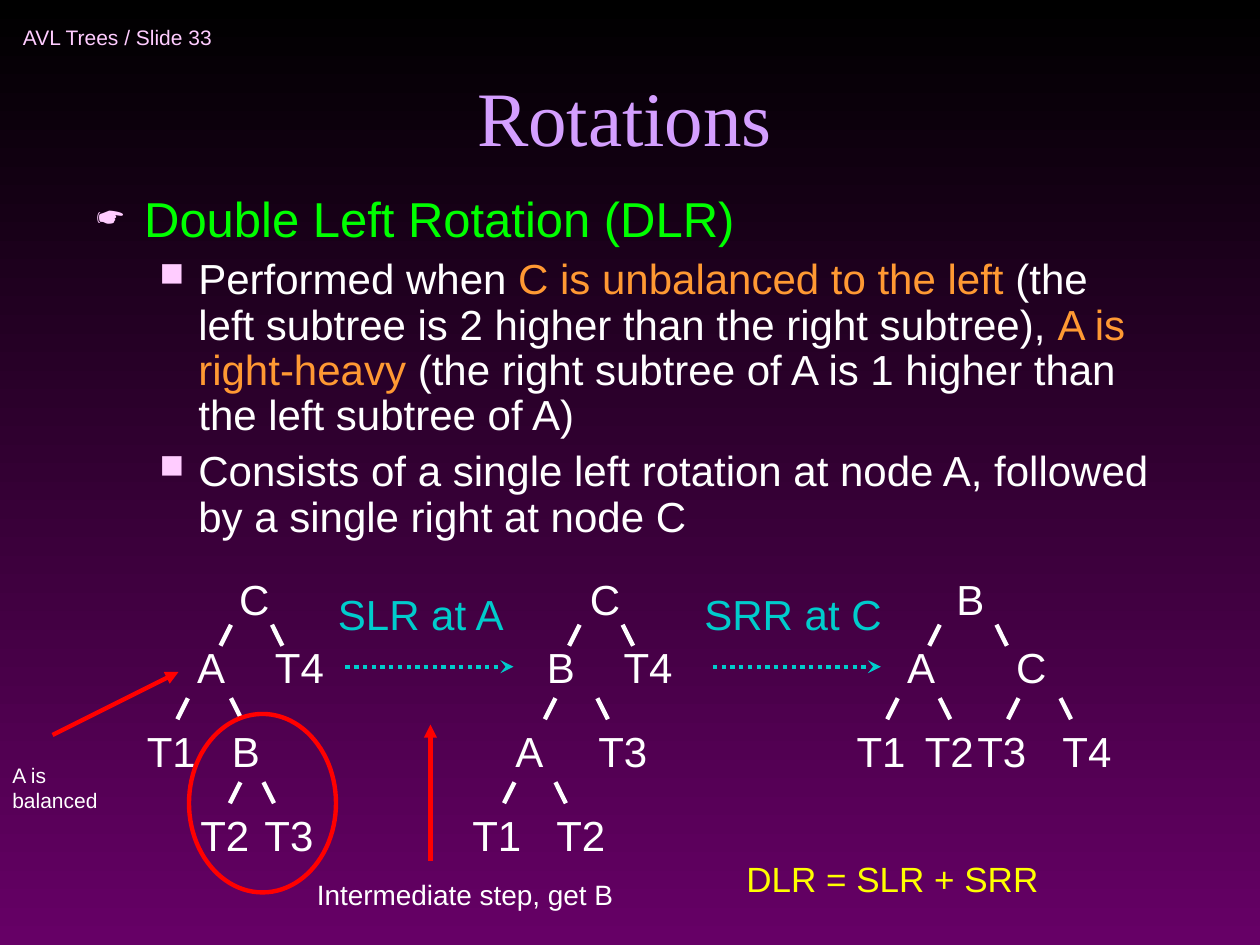
from typing import NamedTuple

from lxml import etree
from pptx import Presentation
from pptx.dml.color import RGBColor
from pptx.enum.dml import MSO_LINE
from pptx.enum.shapes import MSO_CONNECTOR, MSO_SHAPE
from pptx.enum.text import MSO_ANCHOR, MSO_AUTO_SIZE, PP_ALIGN
from pptx.oxml.ns import qn
from pptx.util import Inches, Pt

TOP, MIDDLE, BOTTOM = MSO_ANCHOR.TOP, MSO_ANCHOR.MIDDLE, MSO_ANCHOR.BOTTOM
LEFT, CENTER = PP_ALIGN.LEFT, PP_ALIGN.CENTER
FIXED = MSO_AUTO_SIZE.NONE
STRAIGHT, OVAL = MSO_CONNECTOR.STRAIGHT, MSO_SHAPE.OVAL
DOTS = MSO_LINE.ROUND_DOT
TITLE_ONLY = 5

COLORS = {
    "black": "000000", "purple": "660066", "white": "FFFFFF", "pink": "FFCCFF",
    "lilac": "D49FFF", "green": "00FF00", "orange": "FF9933", "teal": "00CCCC",
    "yellow": "FFFF00", "red": "FF0000",
}

# The slide is a grid of 120 columns and 90 rows.
WIDTH, HEIGHT = Inches(10), Inches(7.5)
COL, ROW = WIDTH / 120, HEIGHT / 90

NODE_ROWS = (54, 60.5, 68.5, 76.5)
EDGE_ROWS = (59.5, 66.5, 74.5)


class Box(NamedTuple):
    col: float
    row: float
    wide: float
    high: float


class Node(NamedTuple):
    name: str
    col: float
    level: int


class Edge(NamedTuple):
    col: float
    level: int
    step: int


class Tree(NamedTuple):
    nodes: list[Node]
    edges: list[Edge]


class Step(NamedTuple):
    label: str
    box: Box
    start: float
    end: float


class Note(NamedTuple):
    words: str
    box: Box
    size: int
    color: str
    wrap: bool


class Point(NamedTuple):
    runs: list[tuple[str, str]]
    size: int
    mark: str
    scale: int
    margin: float
    hang: float
    before: int


TREES = [
    Tree([Node("C", 21.6, 0), Node("A", 17.6, 1), Node("T4", 25, 1),
          Node("T1", 12.8, 2), Node("B", 20.9, 2),
          Node("T2", 17.9, 3), Node("T3", 24, 3)],
         [Edge(22, 0, -1), Edge(25.9, 0, 1), Edge(17.9, 1, -1),
          Edge(22, 1, 1), Edge(22.9, 2, -1), Edge(25.1, 2, 1)]),
    Tree([Node("C", 55, 0), Node("B", 50.9, 1), Node("T4", 58.2, 1),
          Node("A", 47.9, 2), Node("T3", 55.8, 2),
          Node("T1", 43.8, 3), Node("T2", 51.8, 3)],
         [Edge(55.2, 0, -1), Edge(59.3, 0, 1), Edge(52.9, 1, -1),
          Edge(56.9, 1, 1), Edge(49, 2, -1), Edge(52.9, 2, 1)]),
    Tree([Node("B", 89.9, 0), Node("A", 85.2, 1), Node("C", 95.6, 1),
          Node("T1", 80.4, 2), Node("T2", 86.9, 2),
          Node("T3", 91.9, 2), Node("T4", 100, 2)],
         [Edge(89.5, 0, -1), Edge(94.9, 0, 1), Edge(85.5, 1, -1),
          Edge(89.5, 1, 1), Edge(97, 1, -1), Edge(101, 1, 1)]),
]
STEPS = [
    Step("SLR at A", Box(31, 55.5, 18.4, 6), 32.9, 48.9),
    Step("SRR at C", Box(65.9, 55.5, 19.3, 6), 67.9, 83.9),
]
NOTES = [
    Note("DLR = SLR + SRR", Box(69.9, 81.1, 30.2, 5.3), 20, "yellow", False),
    Note("A is balanced", Box(0, 72, 11, 6), 12, "white", True),
    Note("Intermediate step, get B", Box(29, 83, 30.6, 4.4), 16, "white", False),
]
POINTS = [
    Point([("Double Left Rotation (DLR)", "green")], 28, "☛", 75, 0.38, 0.38, 0),
    Point([("Performed when ", "white"),
           ("C is unbalanced to the left", "orange"),
           (" (the left subtree is 2 higher than the right subtree), ", "white"),
           ("A is right-heavy", "orange"),
           (" (the right subtree of A is 1 higher than the left subtree of A)",
            "white")], 24, "■", 80, 0.81, 0.31, 6),
    Point([("Consists of a single left rotation at node A, followed by a single "
            "right at node C", "white")], 24, "■", 80, 0.81, 0.31, 6),
]


def tint(name: str) -> RGBColor:
    return RGBColor.from_string(COLORS[name])


def place(box: Box) -> tuple[int, int, int, int]:
    return (round(box.col * COL), round(box.row * ROW),
            round(box.wide * COL), round(box.high * ROW))


def add_runs(para, runs, size, font) -> None:
    for words, color in runs:
        run = para.add_run()
        run.text = words
        run.font.size, run.font.name = Pt(size), font
        run.font.color.rgb = tint(color)


def add_text(slide, words, box, size=24, color="white", font="Arial",
             wrap=False, anchor=TOP, align=LEFT, shape=None):
    """Write words in a new text box, or in the given shape."""
    shape = shape or slide.shapes.add_textbox(*place(box))
    shape.left, shape.top, shape.width, shape.height = place(box)
    frame = shape.text_frame
    frame.word_wrap, frame.auto_size = wrap, FIXED
    frame.vertical_anchor = anchor
    para = frame.paragraphs[0]
    para.alignment = align
    if words:
        add_runs(para, [(words, color)], size, font)
    return frame


def add_line(slide, start, end, color="white", dash=None, head=None) -> None:
    line = slide.shapes.add_connector(
        STRAIGHT, round(start[0] * COL), round(start[1] * ROW),
        round(end[0] * COL), round(end[1] * ROW))
    line.line.color.rgb, line.line.width = tint(color), Pt(2.5)
    if dash:
        line.line.dash_style = dash
    props = line._element.spPr
    if head:
        etree.SubElement(props.find(qn("a:ln")), qn("a:tailEnd"), type=head)
    etree.SubElement(props, qn("a:effectLst"))


def add_mark(para, point: Point) -> None:
    """Give a paragraph its bullet and hanging indent."""
    props = para._p.get_or_add_pPr()
    props.set("marL", str(Inches(point.margin)))
    props.set("indent", str(-Inches(point.hang)))
    shade = etree.SubElement(props, qn("a:buClr"))
    etree.SubElement(shade, qn("a:srgbClr"), val=COLORS["pink"])
    etree.SubElement(props, qn("a:buSzPct"), val=str(point.scale * 1000))
    etree.SubElement(props, qn("a:buChar"), char=point.mark)


def add_points(slide, points: list[Point], box: Box) -> None:
    frame = add_text(slide, "", box, wrap=True)
    for i, point in enumerate(points):
        para = frame.add_paragraph() if i else frame.paragraphs[0]
        add_mark(para, point)
        para.line_spacing, para.space_before = 0.9, Pt(point.before)
        add_runs(para, point.runs, point.size, "Arial")


def add_tree(slide, tree: Tree) -> None:
    for col, level, step in tree.edges:
        row = EDGE_ROWS[level]
        add_line(slide, (col, row), (col + step, row + 2))
    for name, col, level in tree.nodes:
        wide = 7.1 if len(name) > 1 else 5.2
        add_text(slide, name, Box(col, NODE_ROWS[level], wide, 6))


def main() -> None:
    deck = Presentation()
    deck.slide_width, deck.slide_height = WIDTH, HEIGHT
    slide = deck.slides.add_slide(deck.slide_layouts[TITLE_ONLY])
    fill = slide.background.fill
    fill.gradient()
    fill.gradient_angle = 270
    for stop, name in zip(fill.gradient_stops, ("black", "purple")):
        stop.color.rgb = tint(name)

    add_text(slide, "AVL Trees / Slide 33", Box(1, 1, 33, 5), size=12,
             color="pink", anchor=MIDDLE)
    add_text(slide, "Rotations", Box(8, 1, 103, 15), size=44, color="lilac",
             font="Times New Roman", wrap=True, anchor=BOTTOM, align=CENTER,
             shape=slide.shapes.title)
    add_points(slide, POINTS, Box(8, 18, 103, 36))
    for tree in TREES:
        add_tree(slide, tree)
    for label, box, start, end in STEPS:
        add_line(slide, (start, 63.5), (end, 63.5), "teal", DOTS, "stealth")
        add_text(slide, label, box, color="teal")

    ring = slide.shapes.add_shape(OVAL, *place(Box(18, 68, 14, 17)))
    ring.shadow.inherit = False
    ring.fill.background()
    ring.line.color.rgb, ring.line.width = tint("red"), Pt(2.5)
    for words, box, size, color, wrap in NOTES:
        add_text(slide, words, box, size=size, color=color, wrap=wrap)
    for start, end in (((5, 70), (17, 64)), ((41, 82), (41, 69))):
        add_line(slide, start, end, "red", head="triangle")
    deck.save("out.pptx")


if __name__ == "__main__":
    main()
